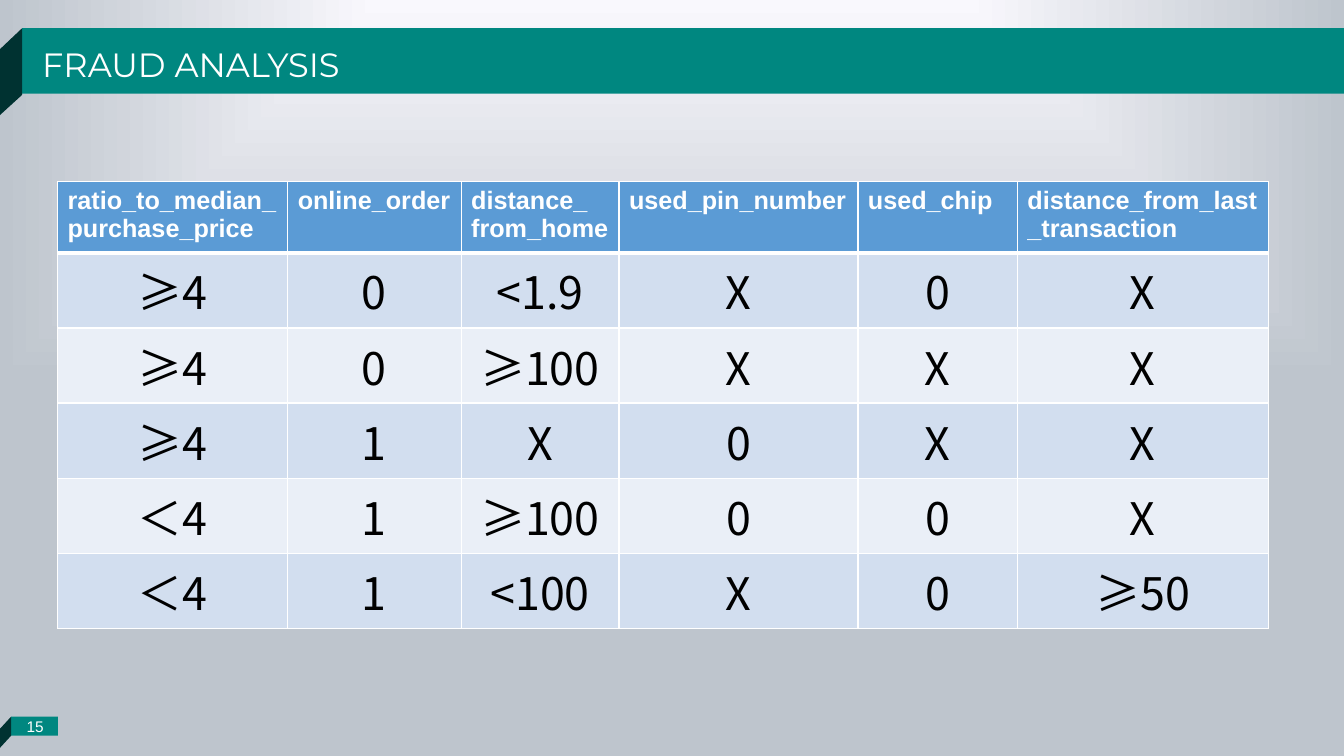
from dataclasses import dataclass

from pptx import Presentation
from pptx.dml.color import RGBColor
from pptx.enum.dml import MSO_THEME_COLOR
from pptx.enum.shapes import MSO_SHAPE
from pptx.enum.text import MSO_ANCHOR, MSO_AUTO_SIZE, PP_ALIGN
from pptx.oxml import parse_xml
from pptx.oxml.ns import nsdecls, qn
from pptx.util import Cm, Pt

RECTANGLE = MSO_SHAPE.RECTANGLE
LEFT, CENTER = PP_ALIGN.LEFT, PP_ALIGN.CENTER
MIDDLE = MSO_ANCHOR.MIDDLE
NO_FIT = MSO_AUTO_SIZE.NONE
WHITE_THEME = MSO_THEME_COLOR.BACKGROUND_1

WHITE = RGBColor(0xFF, 0xFF, 0xFF)
BLACK = RGBColor(0, 0, 0)
TEAL = RGBColor(0x00, 0x87, 0x80)
DARK_TEAL = RGBColor(0x00, 0x32, 0x31)
HEADER_BLUE = RGBColor(0x5B, 0x9B, 0xD5)
BANDS = (RGBColor(0xD2, 0xDE, 0xEF), RGBColor(0xEA, 0xEF, 0xF7))
BG_LIGHT = RGBColor(0xF9, 0xF8, 0xFD)
BG_GREY = RGBColor(0xBE, 0xC5, 0xCD)


@dataclass(frozen=True)
class Bar:
    left: float
    top: float
    width: float
    height: float


@dataclass(frozen=True)
class Fold:
    points: tuple[tuple[float, float], ...]


@dataclass(frozen=True)
class TextStyle:
    font: str
    size: int
    color: RGBColor
    bold: bool = False
    align: int = LEFT


BARS = (Bar(0.56, 0.71, 33.31, 1.65), Bar(0.28, 18.06, 1.18, 0.48))
FOLDS = (
    Fold(((0.28, 18.06), (-0.05, 18.42), (-0.05, 18.9), (0.28, 18.54))),
    Fold(((0, 1.24), (0, 2.9), (0.56, 2.39), (0.56, 0.71))),
)
TITLE = TextStyle("Montserrat", 24, WHITE)
NUMBER = TextStyle("Arial", 11, WHITE, align=CENTER)
HEADER = TextStyle("Arial", 18, WHITE, bold=True)
BODY = TextStyle("Noto Sans CJK SC", 32, BLACK, align=CENTER)

COLUMN_WIDTHS = (5.8, 4.37, 3.98, 6.02, 4.02, 6.32)
ROW_HEIGHT = 1.8
ROWS = (
    ("ratio_to_median_purchase_price", "online_order", "distance_\nfrom_home",
     "used_pin_number", "used_chip", "distance_from_last_transaction"),
    ("≥4", "0", "<1.9", "X", "0", "X"),
    ("≥4", "0", "≥100", "X", "X", "X"),
    ("≥4", "1", "X", "0", "X", "X"),
    ("＜4", "1", "≥100", "0", "0", "X"),
    ("＜4", "1", "<100", "X", "0", "≥50"),
)


def style_text(tf, style: TextStyle) -> None:
    for p in tf.paragraphs:
        p.alignment = style.align
        for r in p.runs:
            r.font.name = style.font
            r.font.size = Pt(style.size)
            r.font.bold = style.bold
            r.font.color.rgb = style.color
            ea = parse_xml(f'<a:ea {nsdecls("a")} typeface="{style.font}"/>')
            r.font.fill
            r.font._element.find(qn("a:latin")).addnext(ea)


def paint(sp, color: RGBColor) -> None:
    sp.shadow.inherit = False
    sp.fill.solid()
    sp.fill.fore_color.rgb = color
    sp.line.fill.background()


def add_bar(s, bar: Bar) -> None:
    sp = s.shapes.add_shape(RECTANGLE, Cm(bar.left), Cm(bar.top),
                            Cm(bar.width), Cm(bar.height))
    paint(sp, TEAL)


def add_fold(s, fold: Fold) -> None:
    start, *others = [(Cm(x), Cm(y)) for x, y in fold.points]
    builder = s.shapes.build_freeform(*start)
    builder.add_line_segments(others, close=True)
    paint(builder.convert_to_shape(), DARK_TEAL)


def add_background(s) -> None:
    fill = s.background.fill
    fill.gradient()
    for stop, color, position in zip(fill.gradient_stops, (BG_LIGHT, BG_GREY), (0, 1)):
        stop.color.rgb = color
        stop.position = position
    lin = s.element.find(".//" + qn("a:lin"))
    lin.getparent().replace(lin, parse_xml(
        f'<a:path {nsdecls("a")} path="rect">'
        '<a:fillToRect l="50000" t="-80000" r="50000" b="180000"/></a:path>'))


def add_title(s, text: str) -> None:
    sp = s.shapes.title
    sp.left, sp.top, sp.width, sp.height = Cm(0.81), Cm(0.97), Cm(16), Cm(1.3)
    tf = sp.text_frame
    tf.text = text
    tf.word_wrap = False
    tf.auto_size = NO_FIT
    tf.vertical_anchor = MIDDLE
    style_text(tf, TITLE)
    s.shapes.element.append(sp.element)


def add_number(s, text: str) -> None:
    sp = s.shapes.add_textbox(Cm(0.3), Cm(17.9), Cm(1.17), Cm(0.81))
    tf = sp.text_frame
    tf.margin_left = tf.margin_right = Cm(0.33)
    tf.margin_top = tf.margin_bottom = Cm(0.18)
    tf.word_wrap = False
    tf.text = text
    style_text(tf, NUMBER)


def add_borders(cell, bottom: int) -> None:
    tc_pr = cell._tc.get_or_add_tcPr()
    for side, width in (("L", 1), ("R", 1), ("T", 1), ("B", bottom)):
        tc_pr.append(parse_xml(
            f'<a:ln{side} {nsdecls("a")} w="{Pt(width)}"><a:solidFill>'
            f'<a:srgbClr val="{WHITE}"/></a:solidFill></a:ln{side}>'))


def add_rules_table(s) -> None:
    table = s.shapes.add_table(len(ROWS), len(COLUMN_WIDTHS), Cm(1.45), Cm(4.57),
                               Cm(sum(COLUMN_WIDTHS)), Cm(ROW_HEIGHT * len(ROWS))).table
    for column, width in zip(table.columns, COLUMN_WIDTHS):
        column.width = Cm(width)
    for i, values in enumerate(ROWS):
        table.rows[i].height = Cm(ROW_HEIGHT)
        for j, value in enumerate(values):
            cell = table.cell(i, j)
            cell.text_frame.text = value
            style_text(cell.text_frame, BODY if i else HEADER)
            add_borders(cell, bottom=1 if i else 3)
            cell.fill.solid()
            cell.fill.fore_color.rgb = BANDS[(i - 1) % 2] if i else HEADER_BLUE


def main() -> None:
    prs = Presentation()
    prs.slide_width, prs.slide_height = Cm(33.87), Cm(19.05)
    s = prs.slides.add_slide(prs.slide_layouts[5])
    add_background(s)
    for bar in BARS:
        add_bar(s, bar)
    for fold in FOLDS:
        add_fold(s, fold)
    add_number(s, "15")
    add_title(s, "FRAUD ANALYSIS")
    add_rules_table(s)
    prs.save("out.pptx")


if __name__ == "__main__":
    main()
